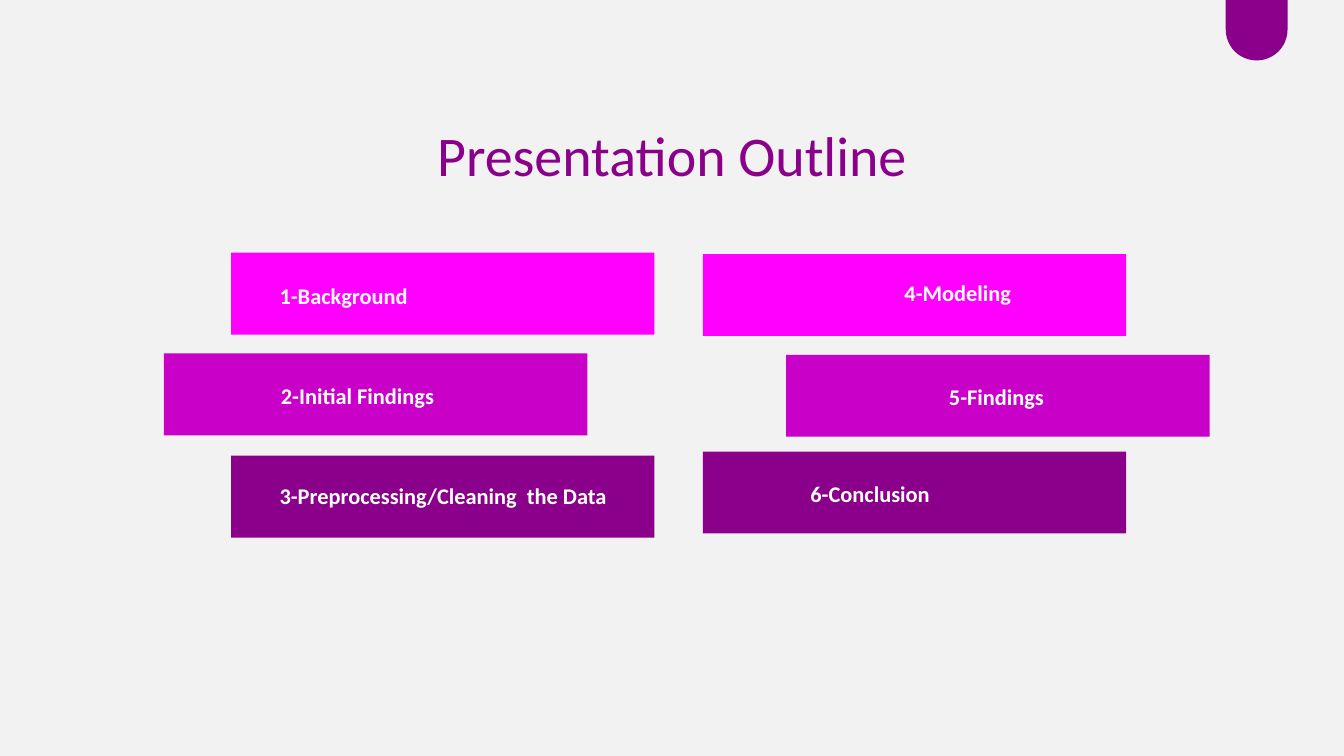
from dataclasses import dataclass

from pptx import Presentation
from pptx.dml.color import RGBColor
from pptx.enum import shapes, text
from pptx.util import Inches, Pt


@dataclass(frozen=True)
class Theme:
    """Colours, font and type sizes of the slide."""
    back: str = "F2F2F2"
    white: str = "FFFFFF"
    dark: str = "8A008A"
    tones: tuple = ("FF00FF", "C800C8", "8A008A")
    font: str = "Calibri"
    title: int = 30
    label: int = 12


THEME = Theme()
KIND = shapes.MSO_SHAPE
ALIGN = text.PP_ALIGN
ANCHOR = text.MSO_ANCHOR
BAR = (3.15, 0.61)


def add_block(slide, kind, box, color, turn=0):
    """Add a plain filled shape."""
    block = slide.shapes.add_shape(kind, *map(Inches, box))
    block.shadow.inherit = False
    block.fill.solid()
    block.fill.fore_color.rgb = RGBColor.from_string(color)
    block.line.fill.background()
    block.rotation = turn


def add_text(slide, words, box, size=THEME.label, color=THEME.white,
             bold=True, align=ALIGN.LEFT, anchor=ANCHOR.TOP):
    """Add a text box with one formatted line."""
    frame = slide.shapes.add_textbox(*map(Inches, box)).text_frame
    frame.word_wrap = True
    frame.vertical_anchor = anchor
    frame.margin_left = frame.margin_right = Inches(0.07)
    frame.margin_top = frame.margin_bottom = Inches(0.04)
    line = frame.paragraphs[0]
    line.alignment = align
    run = line.add_run()
    run.text = words
    font = run.font
    font.name, font.size, font.bold = THEME.font, Pt(size), bold
    font.color.rgb = RGBColor.from_string(color)


def add_item(slide, words, spot, tone, label, width, align=ALIGN.LEFT):
    """Add an outline bar and its label."""
    add_block(slide, KIND.RECTANGLE, (*spot, *BAR), THEME.tones[tone])
    add_text(slide, words, (*label, width, 0.28), align=align)


def main():
    """Build and save the outline slide."""
    deck = Presentation()
    deck.slide_width = Inches(10)
    deck.slide_height = deck.slide_width * 9 // 16
    slide = deck.slides.add_slide(deck.slide_layouts[6])
    fill = slide.background.fill
    fill.solid()
    fill.fore_color.rgb = RGBColor.from_string(THEME.back)

    items = (
        ("1-Background", (1.72, 1.88), 0, (2.01, 2.06), 2.68),
        ("2-Initial Findings", (1.22, 2.63), 1, (2.02, 2.8), 1.55),
        ("3-Preprocessing/Cleaning  the Data", (1.72, 3.39), 2,
         (2.01, 3.55), 2.68),
        ("4-Modeling", (5.23, 1.89), 0, (6.66, 2.04), 1.24),
        ("5-Findings", (5.85, 2.64), 1, (6.18, 2.81), 2.47, ALIGN.CENTER),
        ("6-Conclusion", (5.23, 3.36), 2, (5.96, 3.53), 1.11),
    )
    for item in items:
        add_item(slide, *item)

    add_block(slide, KIND.FLOWCHART_DELAY, (9.12, -0.01, 0.46, 0.46),
              THEME.dark, turn=90)
    add_text(slide, "Presentation Outline", (2.98, 0.36, 4.04, 1.08),
             size=THEME.title, color=THEME.dark, bold=False,
             align=ALIGN.CENTER, anchor=ANCHOR.BOTTOM)

    deck.save("out.pptx")


if __name__ == "__main__":
    main()
